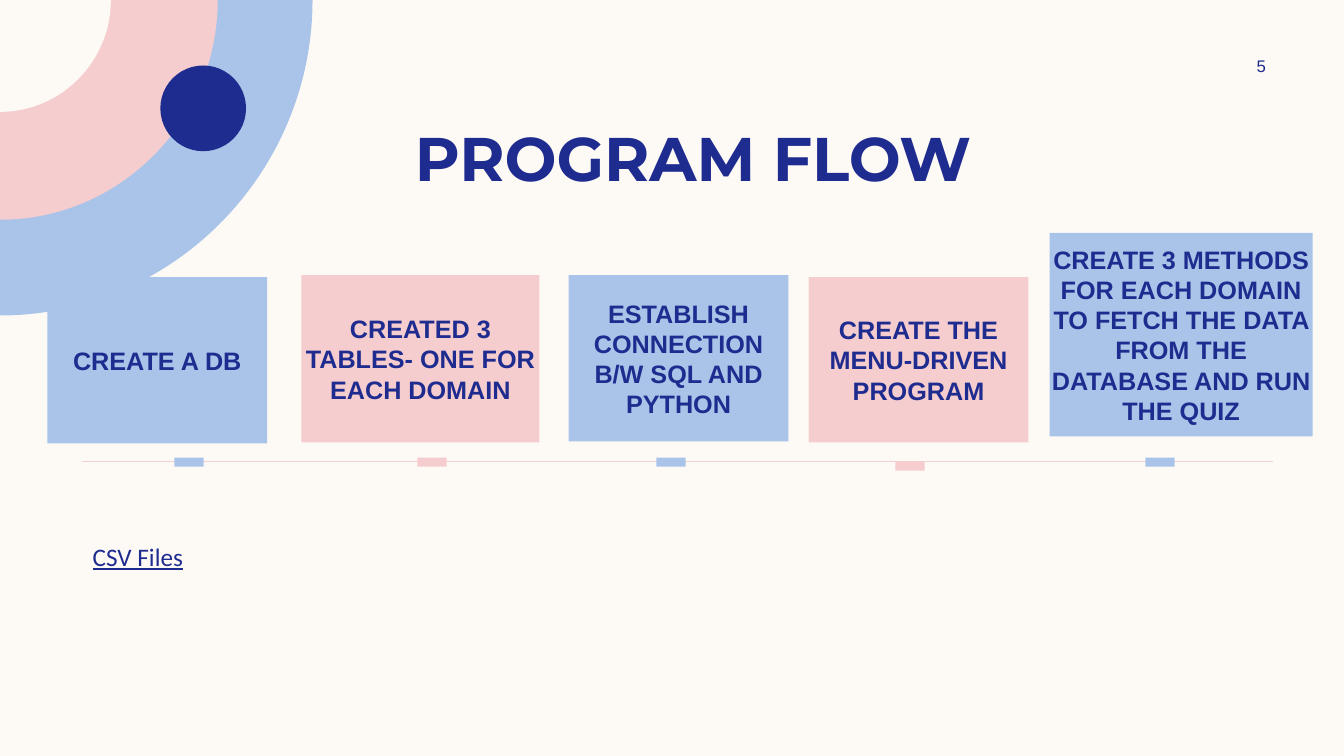
"""Build the program flow slide: five steps along a timeline."""
from lxml import etree
from pptx import Presentation
from pptx.dml.color import RGBColor
from pptx.enum.shapes import MSO_CONNECTOR, MSO_SHAPE
from pptx.enum.text import MSO_ANCHOR, MSO_AUTO_SIZE, PP_ALIGN
from pptx.oxml.ns import qn
from pptx.util import Inches, Pt

RECT, OVAL = MSO_SHAPE.RECTANGLE, MSO_SHAPE.OVAL
STRAIGHT = MSO_CONNECTOR.STRAIGHT
LEFT, CENTER = PP_ALIGN.LEFT, PP_ALIGN.CENTER
TOP, MIDDLE = MSO_ANCHOR.TOP, MSO_ANCHOR.MIDDLE
FIXED = MSO_AUTO_SIZE.NONE
CREAM = RGBColor(0xFD, 0xFA, 0xF6)
BLUE = RGBColor(0xAA, 0xC3, 0xE8)
PINK = RGBColor(0xF5, 0xCD, 0xCE)
NAVY = RGBColor(0x1F, 0x2C, 0x8F)
ROSE = RGBColor(0xF2, 0xD1, 0xD1)
BEND = 0.55


def paint(shape, color):
    shape.shadow.inherit = False
    shape.fill.solid()
    shape.fill.fore_color.rgb = color
    shape.line.fill.background()


def write(shape, text, font, size, align, anchor, bold=False):
    frame = shape.text_frame
    frame.word_wrap = True
    frame.auto_size = FIXED
    frame.vertical_anchor = anchor
    para = frame.paragraphs[0]
    para.alignment = align
    run = para.add_run()
    run.text = text
    run.font.name = font
    run.font.size = Pt(size)
    run.font.bold = bold
    run.font.color.rgb = NAVY
    return run


deck = Presentation()
deck.slide_width, deck.slide_height = Inches(13.33), Inches(7.5)
slide = deck.slides.add_slide(deck.slide_layouts[5])
slide.background.fill.solid()
slide.background.fill.fore_color.rgb = CREAM
shapes = slide.shapes

for width, height, color in [(3.1, 3.13, BLUE), (2.16, 2.18, PINK), (1.1, 1.11, CREAM)]:
    pen = shapes.build_freeform(0, 0)
    pen.add_line_segments([(Inches(width), 0), (0, Inches(height))], close=True)
    disc = pen.convert_to_shape()
    paint(disc, color)
    edge = list(disc._element.iter(qn("a:lnTo")))[1]
    edge.tag = qn("a:cubicBezTo")
    for place, (x, y) in enumerate([(width, height * BEND), (width * BEND, height)]):
        point = etree.Element(qn("a:pt"), x=str(Inches(x)), y=str(Inches(y)))
        edge.insert(place, point)

dot = shapes.add_shape(OVAL, Inches(1.59), Inches(0.65), Inches(0.85), Inches(0.85))
paint(dot, NAVY)

line = shapes.add_connector(STRAIGHT, Inches(0.81), Inches(4.58), Inches(12.63), Inches(4.58))
line.line.color.rgb = ROSE
line.line.width = Pt(1)
etree.SubElement(line._element.spPr, qn("a:effectLst"))

title = shapes.title
title.left, title.top = Inches(1.04), Inches(1.14)
title.width, title.height = Inches(11.67), Inches(0.84)
write(title, "PROGRAM FLOW", "Montserrat", 44, CENTER, TOP, True)

number = shapes.add_textbox(Inches(11.97), Inches(0.5), Inches(1.08), Inches(0.3))
write(number, "5", "Arial", 12, CENTER, MIDDLE)

steps = [
    ("CREATE A DB", 0.47, 2.75, 2.18, 1.65, 1.83, 4.44),
    ("CREATED 3 TABLES- ONE FOR EACH DOMAIN", 2.99, 2.73, 2.36, 1.66, 4.24, 4.44),
    ("ESTABLISH CONNECTION B/W SQL AND PYTHON", 5.64, 2.73, 2.18, 1.65, 6.61, 4.44),
    ("CREATE THE MENU-DRIVEN PROGRAM", 8.02, 2.75, 2.18, 1.64, 8.98, 4.48),
    ("CREATE 3 METHODS FOR EACH DOMAIN TO FETCH THE DATA FROM THE DATABASE AND RUN THE QUIZ",
     10.41, 2.31, 2.61, 2.02, 11.46, 4.44),
]
for index, (text, left, top, width, height, tick_x, tick_y) in enumerate(steps):
    color = PINK if index % 2 else BLUE
    card = shapes.add_shape(RECT, Inches(left), Inches(top), Inches(width), Inches(height))
    paint(card, color)
    frame = card.text_frame
    frame.margin_left = frame.margin_right = frame.margin_top = frame.margin_bottom = 0
    write(card, text, "Arial", 18, CENTER, MIDDLE, True)
    tick = shapes.add_shape(RECT, Inches(tick_x), Inches(tick_y), Inches(0.09), Inches(0.29))
    tick.rotation = 270
    paint(tick, color)

files = shapes.add_textbox(Inches(0.82), Inches(5.32), Inches(3.62), Inches(0.4))
write(files, "CSV Files", "Calibri", 18, LEFT, TOP).font.underline = True

deck.save("out.pptx")
